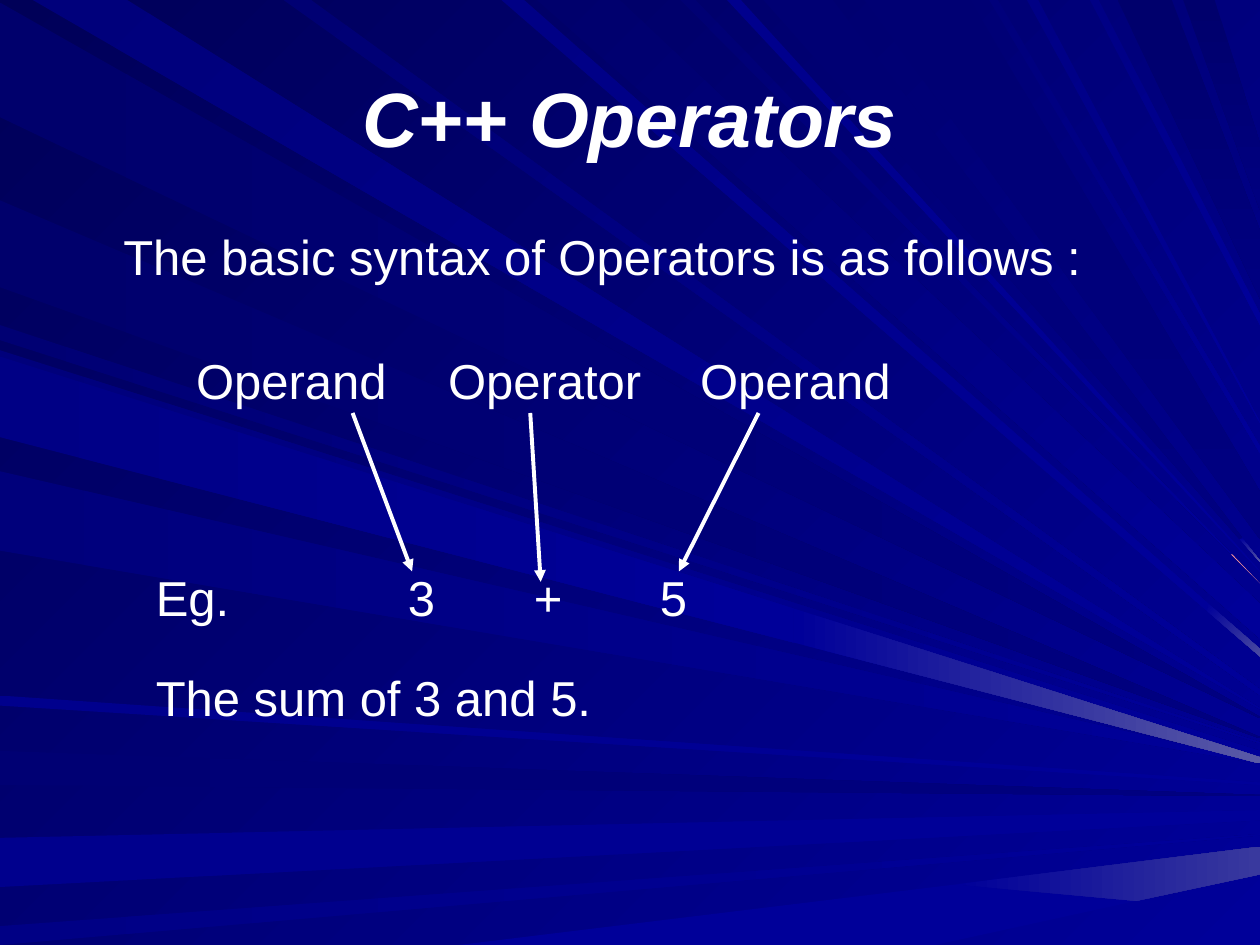
from dataclasses import dataclass

from lxml.etree import SubElement
from pptx import Presentation
from pptx.dml.color import RGBColor
from pptx.enum.shapes import MSO_CONNECTOR
from pptx.enum.text import MSO_ANCHOR, MSO_AUTO_SIZE, PP_ALIGN
from pptx.oxml.ns import qn
from pptx.util import Pt

COLOURS = {
    "white": "FFFFFF",
    "night": "000058",
    "ink": "00006C",
    "deep": "000073",
    "royal": "00007B",
    "navy": "000080",
    "indigo": "000085",
    "violet": "00008D",
    "blue": "000099",
    "dim": "39399E",
    "mid": "4A4AA1",
    "bright": "5A5AA6",
    "spark": "FF9999",
}
FONT = "Arial"
TAB_STEP = 72
RAY_UNIT = Pt(0.72)
RAY_RIGHT, RAY_BOTTOM = 1000, 750


@dataclass
class Ray:
    """A band from one page edge to the right edge, with an optional bright tail."""
    edge: str
    start: str
    end: str
    near: int
    width: int
    far: int
    far_width: int = 1
    tail: str = ""
    split: float = 1

    def sides(self):
        """Return both long sides as (near point, far point)."""
        first, last = self.near, self.near + self.width
        upper = (RAY_RIGHT, self.far)
        lower = (RAY_RIGHT, self.far + self.far_width)
        if self.edge == "left":
            return ((0, first), upper), ((0, last), lower)
        if self.edge == "top":
            return ((first, 0), lower), ((last, 0), upper)
        return ((first, RAY_BOTTOM), upper), ((last, RAY_BOTTOM), lower)

    def angle(self):
        if self.edge != "top":
            return 0
        return 90 if self.end == "navy" else 45


RAYS = [
    Ray("left", "ink", "navy", 2, 91, 569),
    Ray("top", "royal", "blue", 26, 75, 562),
    Ray("left", "deep", "navy", 596, 27, 631),
    Ray("left", "violet", "blue", 665, 39, 643, 8),
    Ray("left", "indigo", "blue", 735, 15, 662),
    Ray("bottom", "blue", "blue", 364, 378, 672, 22, "dim", 0.62),
    Ray("left", "deep", "blue", 258, 12, 589),
    Ray("left", "ink", "navy", 159, 69, 585),
    Ray("top", "indigo", "blue", 398, 18, 515, 6, "mid", 0.93),
    Ray("top", "ink", "blue", 426, 66, 479, 28),
    Ray("top", "deep", "blue", 540, 12, 463, 0, "spark", 0.95),
    Ray("top", "deep", "navy", 606, 55, 445, 1, "bright", 0.96),
    Ray("top", "ink", "navy", 887, 43, 183, 54),
    Ray("top", "ink", "navy", 939, 25, 114, 53),
    Ray("left", "royal", "blue", 278, 64, 596, 6),
    Ray("left", "royal", "blue", 374, 63, 605),
    Ray("left", "violet", "blue", 552, 8, 621, 2),
    Ray("top", "deep", "blue", 225, 22, 547, 5),
    Ray("top", "violet", "blue", 577, 11, 453),
    Ray("top", "deep", "navy", 686, 84, 390, 38),
    Ray("top", "royal", "blue", 785, 7, 354, 6),
    Ray("top", "indigo", "blue", 815, 9, 335),
    Ray("top", "indigo", "blue", 865, 7, 249, 9),
    Ray("left", "indigo", "blue", 283, 64, 601, 5, "bright", 0.63),
]


def colour(name):
    return RGBColor.from_string(COLOURS[name])


def paint(fill, start, end, angle):
    """Fill with a clockwise-angled gradient, or solid if both ends match."""
    if start == end:
        fill.solid()
        fill.fore_color.rgb = colour(start)
        return
    fill.gradient()
    fill.gradient_angle = (360 - angle) % 360
    for stop, name in zip(fill.gradient_stops, (start, end)):
        stop.color.rgb = colour(name)


def between(side, share):
    return tuple(near + (far - near) * share for near, far in zip(*side))


def add_band(group, left, top, ray, shares, shades):
    """Draw the part of a ray that lies between two shares of its length."""
    one, two = ray.sides()
    begin, finish = shares
    corners = [between(one, begin), between(two, begin), between(two, finish), between(one, finish)]
    builder = group.shapes.build_freeform(*corners[0], scale=RAY_UNIT)
    builder.add_line_segments(corners[1:], close=True)
    band = builder.convert_to_shape(Pt(left), Pt(top))
    paint(band.fill, *shades, ray.angle())
    band.line.fill.background()
    band.shadow.inherit = False


def add_rays(page, left, top):
    """Draw the light rays behind everything else on the page."""
    group = page.shapes.add_group_shape()
    for ray in RAYS:
        add_band(group, left, top, ray, (0, ray.split), (ray.start, ray.end))
        if ray.tail:
            start = "spark" if ray.tail == "spark" else "blue"
            add_band(group, left, top, ray, (ray.split, 1), (start, ray.tail))
    page.shapes.element.insert(2, group.element)


def style(font, size):
    font.name = FONT
    font.size = Pt(size)
    font.color.rgb = colour("white")


def add_title(page, text, left, top, width, height):
    title = page.shapes.title
    title.left, title.top, title.width, title.height = map(Pt, (left, top, width, height))
    title.text_frame.text = text
    title.text_frame.vertical_anchor = MSO_ANCHOR.MIDDLE
    para = title.text_frame.paragraphs[0]
    para.alignment = PP_ALIGN.CENTER
    font = para.runs[0].font
    style(font, 44)
    font.bold = font.italic = True


def add_line_of_text(page, text, left, top, width, height=41):
    box = page.shapes.add_textbox(*map(Pt, (left, top, width, height)))
    frame = box.text_frame
    frame.text = text
    frame.word_wrap = False
    frame.auto_size = MSO_AUTO_SIZE.SHAPE_TO_FIT_TEXT
    para = frame.paragraphs[0]
    if "\t" in text:
        tabs = SubElement(para._p.get_or_add_pPr(), qn("a:tabLst"))
        for index in range(1, 5):
            SubElement(tabs, qn("a:tab"), pos=str(Pt(index * TAB_STEP)), algn="l")
    style(para.runs[0].font, 28)


def add_arrow(page, start, end):
    arrow = page.shapes.add_connector(MSO_CONNECTOR.STRAIGHT, *map(Pt, start + end))
    arrow.line.color.rgb = colour("white")
    arrow.line.width = Pt(2.25)
    SubElement(arrow.line._get_or_add_ln(), qn("a:tailEnd"), type="triangle")
    SubElement(arrow._element.spPr, qn("a:effectLst"))


def add_expression(page, left, top):
    """Place the operand and operator names, the example and their arrows."""
    add_line_of_text(page, "Eg. \t\t3\t+\t5", left, top + 124.5, 318)
    add_line_of_text(page, "The sum of 3 and 5.", left, top + 181.5, 263.5)
    add_line_of_text(page, "Operand\tOperator\tOperand", left + 23, top, 412)
    for start_x, end_x, drop in ((221, 227, 96.5), (119.5, 153.5, 90.5), (351.5, 306, 90.5)):
        start_y = top + 39.5
        add_arrow(page, (left + start_x, start_y), (left + end_x, start_y + drop))


def add_operators_page(deck):
    page = deck.slides.add_slide(deck.slide_layouts[5])
    paint(page.background.fill, "night", "blue", 45)
    add_rays(page, 0, 0)
    add_title(page, "C++ Operators", 36, 21.6, 648, 90)
    add_line_of_text(page, "The basic syntax of Operators is as follows :", 63.4, 126, 563)
    add_expression(page, 82, 196.5)


def main():
    deck = Presentation()
    deck.slide_width, deck.slide_height = Pt(720), Pt(540)
    add_operators_page(deck)
    deck.save("out.pptx")


if __name__ == "__main__":
    main()
